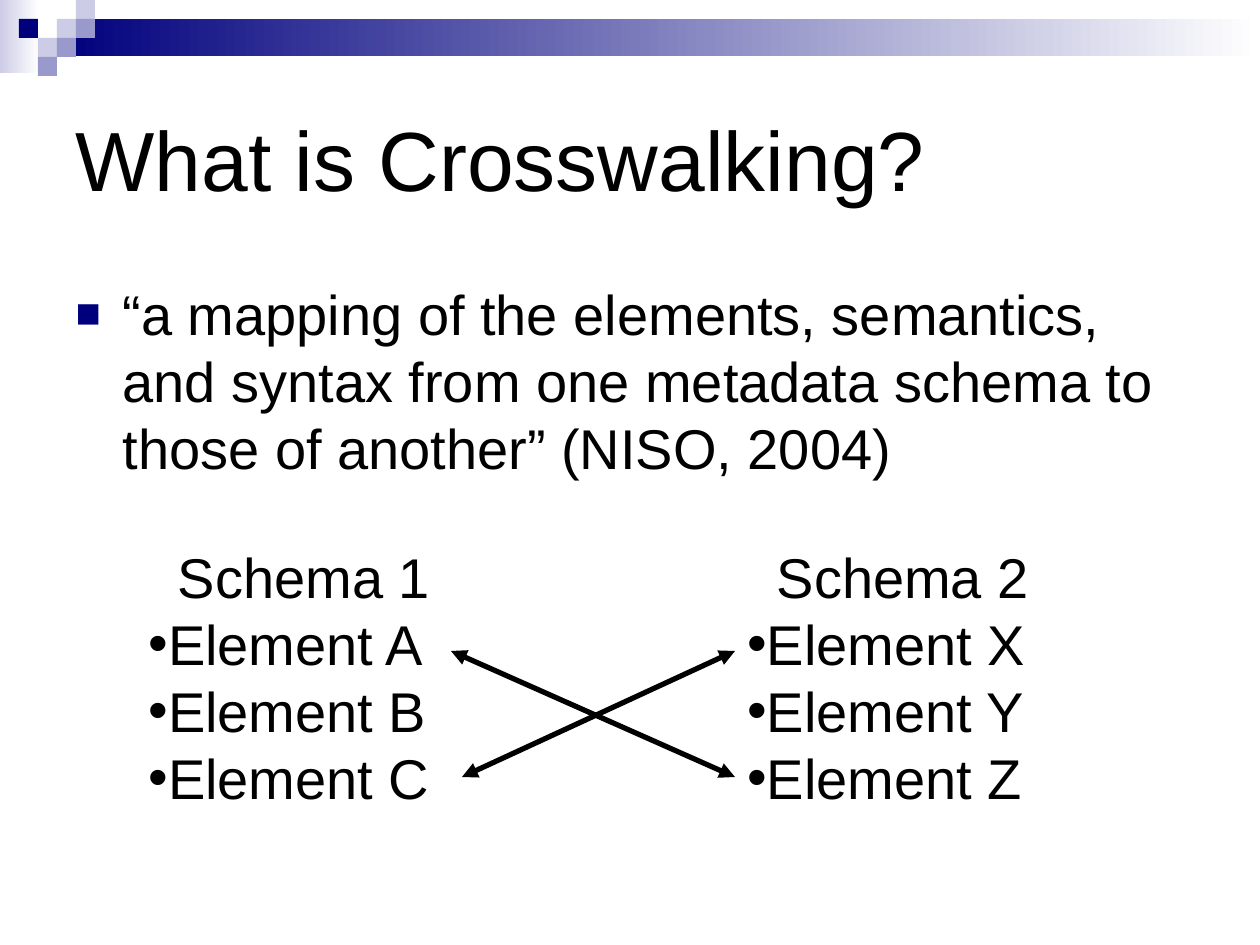
import pptx
import pptx.util
import pptx.dml.color
import pptx.enum.shapes
import pptx.enum.text
import pptx.oxml
import pptx.oxml.ns
from lxml import etree

EMU_PER_PIXEL = 914400 // 126
FONT = "Arial"
BLACK, NAVY, LILAC, VIOLET, WHITE = "000000", "00007D", "CCCCE6", "9999CC", "FFFFFF"
SQUARE = 19
ALIGN = pptx.enum.text.PP_ALIGN


def px(*lengths):
    """Turn pixel lengths into a list of EMU lengths."""
    return [pptx.util.Emu(length * EMU_PER_PIXEL) for length in lengths]


def set_color(target, value):
    """Give a colour format a hex colour."""
    target.rgb = pptx.dml.color.RGBColor.from_string(value)


def add_xml(parent, tag, **attributes):
    """Append a drawing element with the given attributes."""
    child = etree.SubElement(parent, pptx.oxml.ns.qn("a:" + tag))
    for name, value in attributes.items():
        child.set(name, str(value))
    return child


def add_block(page, left, top, width, height, color, fade_to=None):
    """Add a borderless rectangle, plain or fading to the right."""
    block = page.shapes.add_shape(
        pptx.enum.shapes.MSO_SHAPE.RECTANGLE, *px(left, top, width, height))
    block.shadow.inherit = False
    block.line.fill.background()
    if fade_to is None:
        block.fill.solid()
        set_color(block.fill.fore_color, color)
        return
    block.fill.gradient()
    block.fill.gradient_angle = 0
    for stop, shade in zip(block.fill.gradient_stops, (color, fade_to)):
        set_color(stop.color, shade)


def add_banner(page):
    """Draw the fading bar and the stepped squares along the top."""
    add_block(page, 0, 0, 39, 73, LILAC, WHITE)
    add_block(page, 57, SQUARE, 1203, 37, NAVY, WHITE)
    squares = [(3, 1, LILAC), (4, 0, LILAC), (4, 1, VIOLET), (2, 2, LILAC),
               (1, 1, NAVY), (3, 2, VIOLET), (2, 3, VIOLET)]
    for column, row, color in squares:
        add_block(page, column * SQUARE, row * SQUARE, SQUARE, SQUARE, color)


def format_para(para, size, align=ALIGN.LEFT):
    """Set alignment, spacing and font of a paragraph."""
    para.alignment = align
    para.line_spacing = pptx.util.Pt(size * 1.2)
    para.space_before = pptx.util.Pt(0)
    for span in para.runs:
        span.font.name = FONT
        span.font.size = pptx.util.Pt(size)
        set_color(span.font.color, BLACK)


def add_bullet(para, char, color, percent=100, indent=0):
    """Give a paragraph a coloured bullet with a hanging indent."""
    props = para._p.get_or_add_pPr()
    hang = px(indent)[0]
    props.set("marL", str(hang))
    props.set("indent", str(-hang))
    add_xml(add_xml(props, "buClr"), "srgbClr", val=color)
    add_xml(props, "buSzPct", val=percent * 1000)
    add_xml(props, "buFont", typeface=FONT)
    add_xml(props, "buChar", char=char)


def fill_placeholder(box, text, place, size, anchor):
    """Move a placeholder and set its one paragraph."""
    box.left, box.top, box.width, box.height = px(*place)
    frame = box.text_frame
    frame.text = text
    frame.auto_size = pptx.enum.text.MSO_AUTO_SIZE.NONE
    frame.vertical_anchor = anchor
    format_para(frame.paragraphs[0], size)
    return frame.paragraphs[0]


def add_schema(page, left, heading, letters):
    """Add a centred schema heading above its bulleted elements."""
    frame = page.shapes.add_textbox(*px(left, 536, 336, 285)).text_frame
    frame.word_wrap = True
    frame.text = "\n".join([heading] + ["Element " + letter for letter in letters])
    format_para(frame.paragraphs[0], 32, ALIGN.CENTER)
    for para in frame.paragraphs[1:]:
        format_para(para, 32)
        add_bullet(para, "•", BLACK)


def add_double_arrow(page, *ends):
    """Add a straight line with an arrowhead at both ends."""
    arrow = page.shapes.add_connector(
        pptx.enum.shapes.MSO_CONNECTOR.STRAIGHT, *px(*ends))
    arrow.line.width = pptx.util.Pt(3)
    set_color(arrow.line.color, BLACK)
    line = arrow.line._get_or_add_ln()
    for tag in ("headEnd", "tailEnd"):
        add_xml(line, tag, type="triangle")
    add_xml(arrow._element.spPr, "effectLst")


def main():
    """Build the slide and save it."""
    deck = pptx.Presentation()
    deck.slide_width, deck.slide_height = px(1260, 945)
    page = deck.slides.add_slide(deck.slide_layouts[1])
    add_banner(page)
    anchors = pptx.enum.text.MSO_ANCHOR
    fill_placeholder(page.shapes.title, "What is Crosswalking?",
                     (63, 63, 1134, 189), 48, anchors.MIDDLE)
    quote = fill_placeholder(
        page.placeholders[1],
        "“a mapping of the elements, semantics, and syntax from one "
        "metadata schema to those of another” (NISO, 2004)",
        (63, 273, 1134, 224), 32, anchors.TOP)
    add_bullet(quote, "■", NAVY, 75, 47)
    add_schema(page, 136, "Schema 1", "ABC")
    add_schema(page, 735, "Schema 2", "XYZ")
    add_double_arrow(page, 451, 651, 735, 777)
    add_double_arrow(page, 462, 777, 735, 651)
    deck.save("out.pptx")


main()
